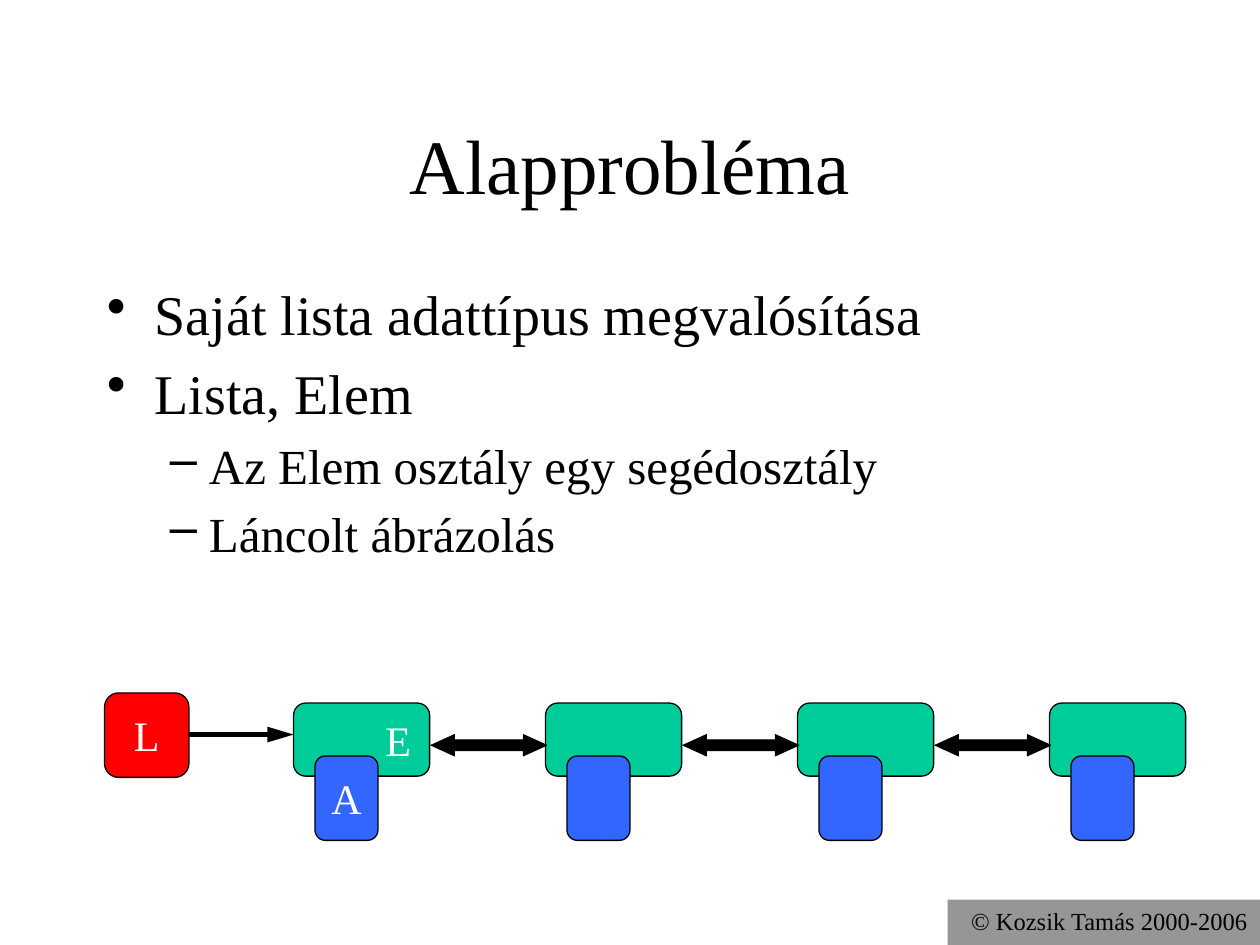
from lxml import etree
from pptx import Presentation
from pptx.dml.color import RGBColor
from pptx.enum.shapes import MSO_CONNECTOR, MSO_SHAPE
from pptx.enum.text import MSO_ANCHOR, PP_ALIGN
from pptx.oxml.ns import qn
from pptx.util import Inches, Pt

COLORS = {"black": "000000", "white": "FFFFFF", "gray": "969696",
          "green": "00CC99", "blue": "3366FF", "red": "FF0000"}
FONT = "Liberation Serif"

prs = Presentation()
prs.slide_width, prs.slide_height = Inches(10), Inches(7.5)
slide = prs.slides.add_slide(prs.slide_layouts[6])
shapes = slide.shapes


def write(paragraph, text, size, color="black", align=PP_ALIGN.LEFT):
    paragraph.alignment = align
    run = paragraph.add_run()
    run.text = text
    run.font.name, run.font.size = FONT, Pt(size)
    run.font.color.rgb = RGBColor.from_string(COLORS[color])


def add_box(kind, left, top, width, height, fill, line_width=0.75):
    box = shapes.add_shape(kind, Inches(left), Inches(top), Inches(width), Inches(height))
    box.shadow.inherit = False
    box.fill.solid()
    box.fill.fore_color.rgb = RGBColor.from_string(COLORS[fill])
    if line_width:
        box.line.color.rgb = RGBColor.from_string(COLORS["black"])
        box.line.width = Pt(line_width)
    else:
        box.line.fill.background()
    box.text_frame.vertical_anchor = MSO_ANCHOR.MIDDLE
    return box


# Footer
footer = add_box(MSO_SHAPE.RECTANGLE, 7.52, 7.14, 2.48, 0.36, "gray", 0)
footer.text_frame.vertical_anchor = MSO_ANCHOR.TOP
write(footer.text_frame.paragraphs[0], "© Kozsik Tamás 2000-2006", 14, align=PP_ALIGN.RIGHT)

# Title
title = shapes.add_textbox(Inches(0.75), Inches(0.67), Inches(8.5), Inches(1.25)).text_frame
title.word_wrap = True
title.vertical_anchor = MSO_ANCHOR.MIDDLE
write(title.paragraphs[0], "Alapprobléma", 44, align=PP_ALIGN.CENTER)

# Bulleted text: size, left margin, hanging indent and bullet for each level
LEVELS = [(32, 0.38, -0.38, "•"), (28, 0.81, -0.31, "–")]
POINTS = [(0, "Saját lista adattípus megvalósítása"),
          (0, "Lista, Elem"),
          (1, "Az Elem osztály egy segédosztály"),
          (1, "Láncolt ábrázolás")]
body = shapes.add_textbox(Inches(0.75), Inches(2.17), Inches(8.58), Inches(2.67)).text_frame
body.word_wrap = True
for i, (level, text) in enumerate(POINTS):
    paragraph = body.paragraphs[0] if i == 0 else body.add_paragraph()
    size, margin, indent, bullet = LEVELS[level]
    paragraph.level = level
    write(paragraph, text, size)
    props = paragraph._p.get_or_add_pPr()
    props.set("marL", str(Inches(margin)))
    props.set("indent", str(Inches(indent)))
    spacing = etree.SubElement(props, qn("a:spcBef"))
    etree.SubElement(spacing, qn("a:spcPct")).set("val", "20000")
    etree.SubElement(props, qn("a:buFontTx"))
    etree.SubElement(props, qn("a:buChar")).set("char", bullet)
    # The paragraph mark takes the text size so that the bullet sits level
    etree.SubElement(paragraph._p, qn("a:endParaRPr")).set("sz", str(size * 100))

# Linked elements, then the data hanging from each
FIRST, PITCH, COUNT = 2.33, 2, 4
elements = [add_box(MSO_SHAPE.ROUNDED_RECTANGLE, FIRST + i * PITCH, 5.58, 1.08, 0.58, "green")
            for i in range(COUNT)]
data = [add_box(MSO_SHAPE.ROUNDED_RECTANGLE, 2.5 + i * PITCH, 6, 0.5, 0.67, "blue")
        for i in range(COUNT)]
list_head = add_box(MSO_SHAPE.ROUNDED_RECTANGLE, 0.83, 5.5, 0.67, 0.67, "red")

elements[0].text_frame.margin_right = Inches(0.12)
for box, letter, align in [(elements[0], "E", PP_ALIGN.RIGHT),
                           (data[0], "A", PP_ALIGN.CENTER),
                           (list_head, "L", PP_ALIGN.CENTER)]:
    write(box.text_frame.paragraphs[0], letter, 24, "white", align)

# Arrow from the list to its first element
link = shapes.add_connector(MSO_CONNECTOR.STRAIGHT, Inches(1.5), Inches(5.83),
                            Inches(FIRST), Inches(5.83))
link.line.color.rgb = RGBColor.from_string(COLORS["black"])
link.line.width = Pt(3)
tail = etree.SubElement(link.line._get_or_add_ln(), qn("a:tailEnd"))
for key, value in (("type", "triangle"), ("w", "med"), ("len", "lg")):
    tail.set(key, value)
etree.SubElement(link._element.spPr, qn("a:effectLst"))

# Double arrows between neighbours
for i in range(COUNT - 1):
    arrow = add_box(MSO_SHAPE.LEFT_RIGHT_ARROW, 3.42 + i * PITCH, 5.83, 0.92, 0.17, "black", 0.5)
    arrow.adjustments[0], arrow.adjustments[1] = 0.5, 1.1

prs.save("out.pptx")
